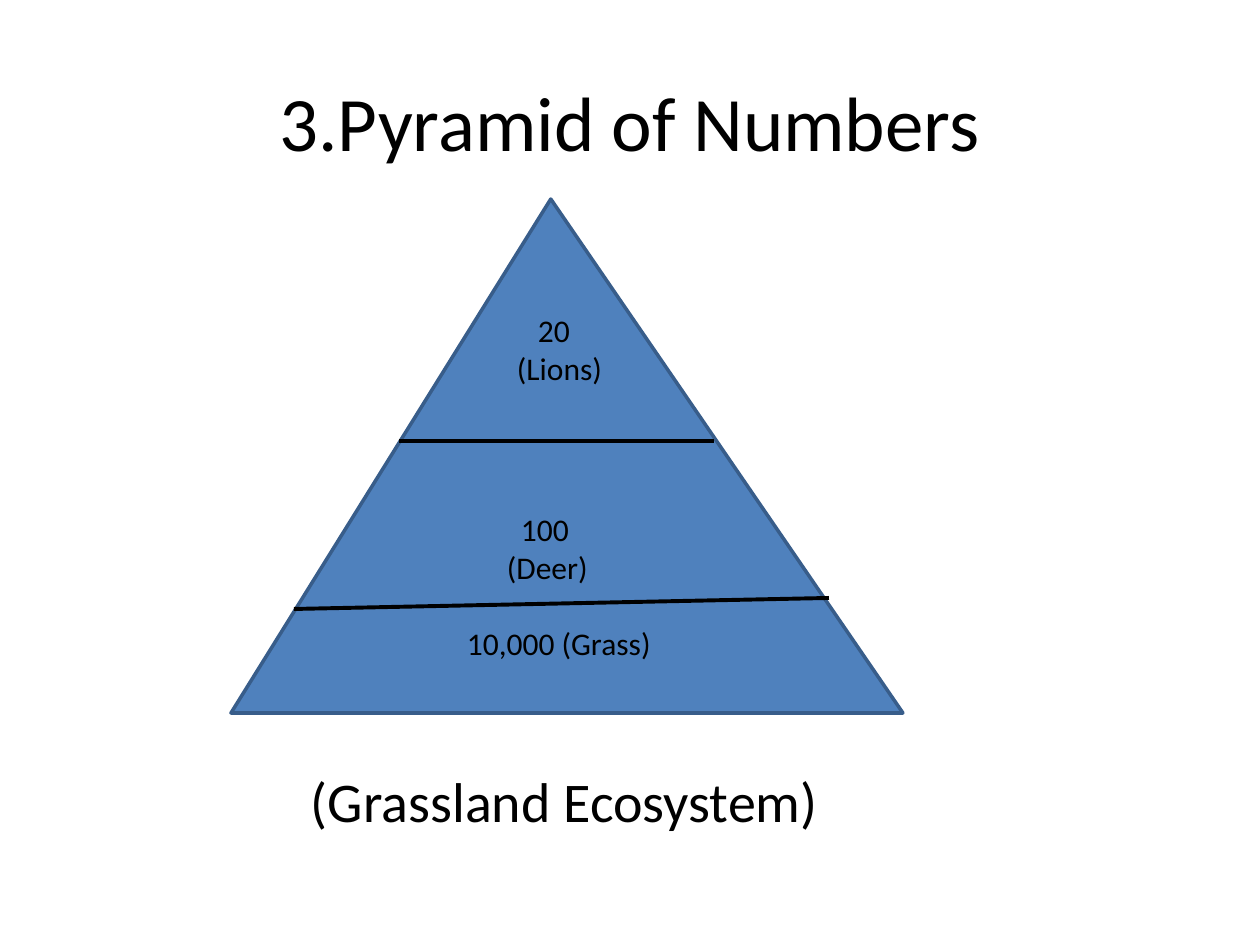
import pptx
import pptx.dml.color
import pptx.enum.shapes
import pptx.enum.text
import pptx.oxml
import pptx.util
from lxml import etree

EMU_PER_PX = 914400 // 126
BLACK = pptx.dml.color.RGBColor(0x00, 0x00, 0x00)
BLUE = pptx.dml.color.RGBColor(0x4F, 0x81, 0xBD)
DARK_BLUE = pptx.dml.color.RGBColor(0x38, 0x5D, 0x8A)
Align = pptx.enum.text.PP_ALIGN
Anchor = pptx.enum.text.MSO_ANCHOR


def px(length):
    return pptx.util.Emu(length * EMU_PER_PX)


def write_text(shape, text, size=18, align=Align.LEFT, anchor=Anchor.TOP,
               insets=(13, 6, 13, 6), margin=0, indent=0):
    """Insets run left, top, right, bottom; margin and indent are in px."""
    frame = shape.text_frame
    frame.word_wrap = True
    frame.vertical_anchor = anchor
    (frame.margin_left, frame.margin_top,
     frame.margin_right, frame.margin_bottom) = map(px, insets)
    para = frame.paragraphs[0]
    para.alignment = align
    properties = para._p.get_or_add_pPr()
    properties.set("marL", str(px(margin)))
    properties.set("indent", str(px(indent)))
    span = para.add_run()
    span.text = text
    span.font.name = "Calibri"
    span.font.size = pptx.util.Pt(size)
    span.font.color.rgb = BLACK


class Page:
    def __init__(self, deck):
        self.shapes = deck.slides.add_slide(deck.slide_layouts[6]).shapes

    def text(self, left, top, width, height, text, **style):
        box = self.shapes.add_textbox(*map(px, (left, top, width, height)))
        write_text(box, text, **style)

    def triangle(self, left, top, width, height, apex, text, **style):
        shape = self.shapes.add_shape(
            pptx.enum.shapes.MSO_SHAPE.ISOSCELES_TRIANGLE,
            *map(px, (left, top, width, height)))
        shape.adjustments[0] = apex
        shape.shadow.inherit = False
        shape.fill.solid()
        shape.fill.fore_color.rgb = BLUE
        shape.line.color.rgb = DARK_BLUE
        shape.line.width = pptx.util.Pt(2)
        write_text(shape, text, **style)

    def line(self, x1, y1, x2, y2):
        line = self.shapes.add_connector(
            pptx.enum.shapes.MSO_CONNECTOR.STRAIGHT,
            *map(px, (x1, y1, x2, y2)))
        line.line.color.rgb = BLACK
        line.line.width = pptx.util.Pt(2.25)
        etree.SubElement(line._element.spPr, pptx.oxml.ns.qn("a:effectLst"))


def main():
    deck = pptx.Presentation()
    deck.slide_width = px(1260)
    deck.slide_height = px(945)
    page = Page(deck)

    page.text(63, 38, 1134, 158, "3.Pyramid of Numbers", size=44,
              align=Align.CENTER, anchor=Anchor.MIDDLE, insets=(13, 14, 13, 6))
    page.text(63, 189, 1134, 655, "(Grassland Ecosystem)", size=32,
              anchor=Anchor.BOTTOM, insets=(13, 6, 13, 10), margin=235)
    page.triangle(231, 199, 672, 514, 0.476, "10,000 (Grass)",
                  align=Align.CENTER, anchor=Anchor.BOTTOM,
                  insets=(13, 6, 13, 51))
    page.line(294, 609, 829, 598)
    page.line(399, 441, 714, 441)
    page.text(494, 504, 126, 88, "100 (Deer)", indent=14)
    page.text(504, 305, 126, 88, "20 (Lions)", indent=21)
    deck.save("out.pptx")


if __name__ == "__main__":
    main()
